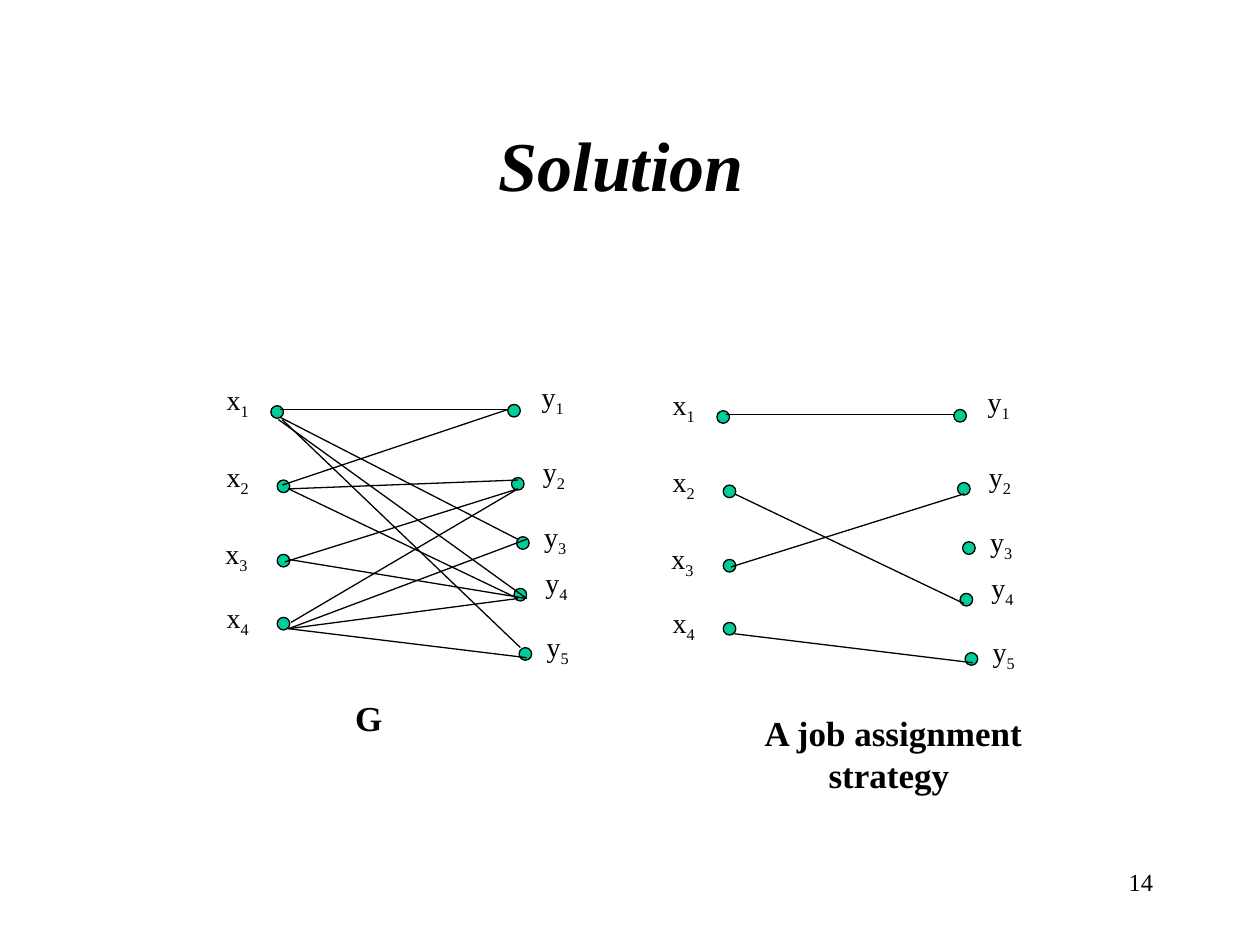
"""Build the Solution slide: bipartite graph G beside its job assignment strategy."""
from lxml import etree
from pptx import Presentation
from pptx.dml.color import RGBColor
from pptx.enum import shapes, text
from pptx.oxml.ns import qn
from pptx.util import Inches, Pt

BLACK = RGBColor(0x00, 0x00, 0x00)
GREEN = RGBColor(0x00, 0xCC, 0x99)
FONT = "Times New Roman"
DOT = 0.1
LABEL_SIZE = (0.53, 0.41)

NODES = {
    "x1": {"dot": (2.15, 3.22), "label": (1.7, 2.99)},
    "x2": {"dot": (2.2, 3.81), "label": (1.7, 3.6)},
    "x3": {"dot": (2.2, 4.4), "label": (1.69, 4.21)},
    "x4": {"dot": (2.2, 4.9), "label": (1.7, 4.72)},
    "y1": {"dot": (4.03, 3.21), "label": (4.2, 2.96)},
    "y2": {"dot": (4.06, 3.79), "label": (4.21, 3.56)},
    "y3": {"dot": (4.1, 4.26), "label": (4.22, 4.07)},
    "y4": {"dot": (4.08, 4.67), "label": (4.23, 4.44)},
    "y5": {"dot": (4.12, 5.14), "label": (4.24, 4.95)},
}
EDGES = {
    ("x1", "y1"): ((2.22, 3.25), (4.03, 3.25)),
    ("x1", "y3"): ((2.22, 3.31), (4.11, 4.28)),
    ("x1", "y4"): ((2.21, 3.33), (4.18, 4.75)),
    ("x1", "y5"): ((2.24, 3.33), (4.13, 5.14)),
    ("x2", "y1"): ((2.24, 3.85), (4.03, 3.25)),
    ("x2", "y2"): ((2.29, 3.88), (4.11, 3.81)),
    ("x2", "y4"): ((2.29, 3.88), (4.11, 4.75)),
    ("x3", "y2"): ((2.26, 4.46), (4.11, 3.88)),
    ("x3", "y4"): ((2.29, 4.44), (4.18, 4.75)),
    ("x4", "y2"): ((2.31, 4.94), (4.11, 3.88)),
    ("x4", "y3"): ((2.29, 4.99), (4.18, 4.28)),
    ("x4", "y4"): ((2.29, 4.99), (4.11, 4.75)),
    ("x4", "y5"): ((2.29, 4.99), (4.18, 5.22)),
}
GRAPHS = [
    {"shift": (0, 0), "edges": list(EDGES), "caption": "G",
     "box": (2.72, 5.48, 0.79, 0.44), "align": text.PP_ALIGN.LEFT},
    {"shift": (3.54, 0.04),
     "edges": [("x1", "y1"), ("x2", "y4"), ("x3", "y2"), ("x4", "y5")],
     "caption": "A job assignment strategy ",
     "box": (5.79, 5.6, 2.6, 0.77), "align": text.PP_ALIGN.CENTER},
]


def inches(*lengths):
    return [Inches(round(length, 2)) for length in lengths]


def moved(point, shift):
    return [a + b for a, b in zip(point, shift)]


def add_run(paragraph, words, size, bold=False, italic=False):
    run = paragraph.add_run()
    run.text = words
    run.font.name, run.font.size = FONT, Pt(size)
    run.font.bold, run.font.italic = bold, italic
    run.font.color.rgb = BLACK
    return run


def add_paragraph_box(parent, box, align=text.PP_ALIGN.LEFT, before=0):
    frame = parent.add_textbox(*inches(*box)).text_frame
    frame.word_wrap = True
    paragraph = frame.paragraphs[0]
    paragraph.alignment = align
    paragraph.space_before = Pt(before)
    return paragraph


def add_node(parent, name, node, shift):
    dot = parent.add_shape(shapes.MSO_SHAPE.OVAL, *inches(*moved(node["dot"], shift), DOT, DOT))
    dot.shadow.inherit = False
    dot.fill.solid()
    dot.fill.fore_color.rgb = GREEN
    dot.line.color.rgb = BLACK
    dot.line.width = Pt(0.75)
    label = add_paragraph_box(parent, (*moved(node["label"], shift), *LABEL_SIZE), before=10)
    add_run(label, name[0], 16)
    index = add_run(label, name[1], 16)
    index.font._element.set("baseline", "-25000")


def add_edge(parent, ends, shift):
    start, end = (moved(point, shift) for point in ends)
    edge = parent.add_connector(shapes.MSO_CONNECTOR.STRAIGHT, *inches(*start, *end))
    edge.line.color.rgb = BLACK
    edge.line.width = Pt(0.75)
    etree.SubElement(edge._element.spPr, qn("a:effectLst"))


def add_graph(slide, graph):
    parent = slide.shapes.add_group_shape().shapes
    for name, node in NODES.items():
        add_node(parent, name, node, graph["shift"])
    for pair in graph["edges"]:
        add_edge(parent, EDGES[pair], graph["shift"])
    caption = add_paragraph_box(parent, graph["box"], graph["align"], before=12.5)
    add_run(caption, graph["caption"], 20, bold=True)


def main():
    deck = Presentation()
    deck.slide_width, deck.slide_height = inches(10, 7.5)
    slide = deck.slides.add_slide(deck.slide_layouts[5])

    title = slide.shapes.title
    title.left, title.top, title.width, title.height = inches(0.75, 0.67, 8.5, 1.25)
    title.text_frame.vertical_anchor = text.MSO_ANCHOR.MIDDLE
    heading = title.text_frame.paragraphs[0]
    heading.alignment = text.PP_ALIGN.CENTER
    add_run(heading, "Solution ", 40, bold=True, italic=True)

    for graph in GRAPHS:
        add_graph(slide, graph)

    page = add_paragraph_box(slide.shapes, (7.17, 6.83, 2.08, 0.5), text.PP_ALIGN.RIGHT)
    add_run(page, "14", 14)
    deck.save("out.pptx")


if __name__ == "__main__":
    main()
